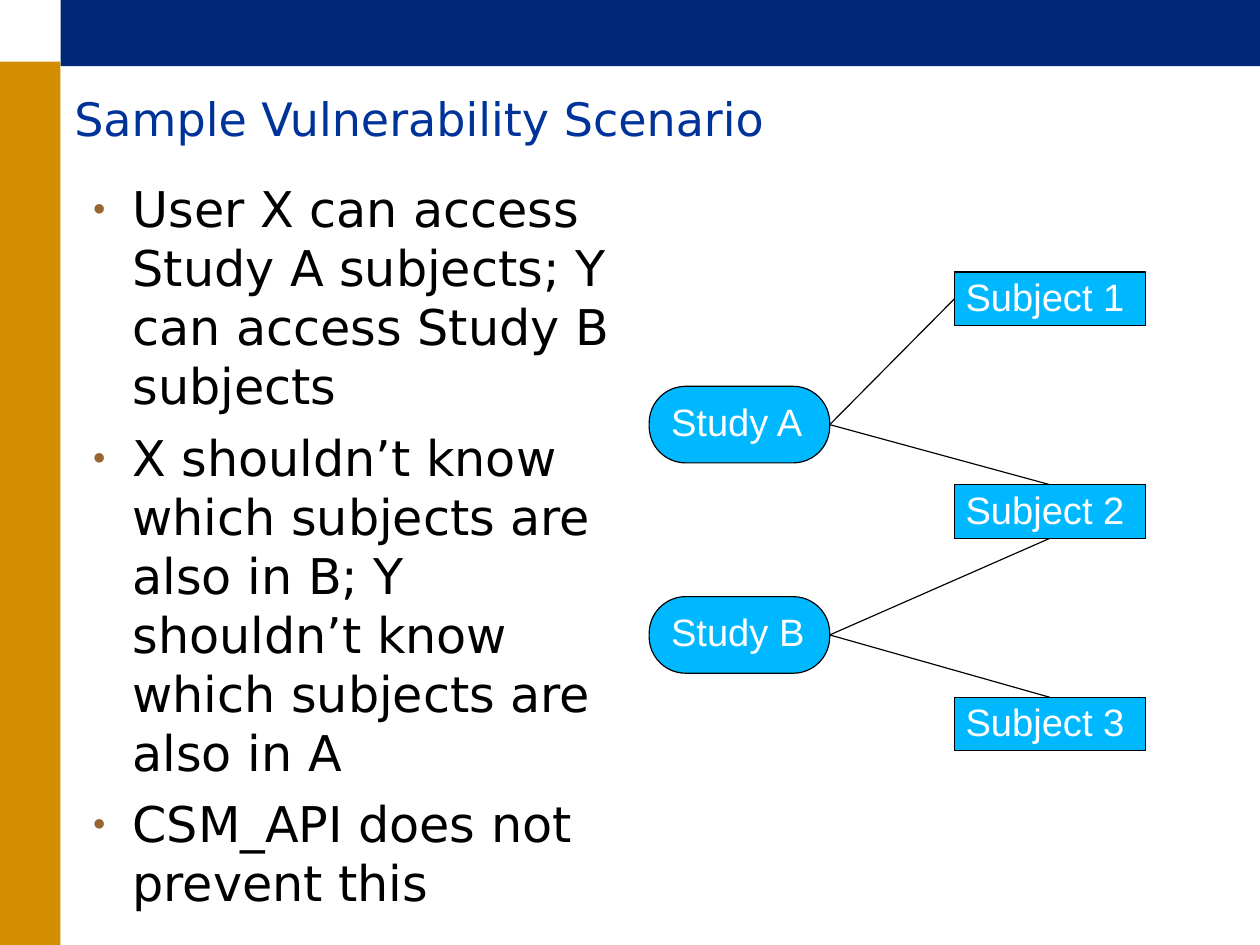
import pptx
import pptx.util
import pptx.dml.color
import pptx.enum.shapes
import pptx.enum.text
import pptx.oxml.ns
import lxml.etree

Inches = pptx.util.Inches
Pt = pptx.util.Pt
KINDS = pptx.enum.shapes.MSO_SHAPE
ANCHOR = pptx.enum.text.MSO_ANCHOR
ALIGN = pptx.enum.text.PP_ALIGN
TOP, LEFT, BOTTOM, RIGHT = range(4)

POINTS = [
    "User X can access Study A subjects; Y can access Study B subjects",
    "X shouldn’t know which subjects are also in B; Y shouldn’t know which subjects are also in A",
    "CSM_API does not prevent this",
]


def color(code):
    return pptx.dml.color.RGBColor.from_string(code)


def add(parent, tag, **attrs):
    return lxml.etree.SubElement(parent, pptx.oxml.ns.qn(tag), attrs)


def style(para, font, size, code):
    for run in para.runs:
        run.font.name = font
        run.font.size = Pt(size)
        run.font.color.rgb = color(code)


def inset(frame, left, top, right, bottom):
    frame.word_wrap = True
    frame.margin_left, frame.margin_top = Inches(left), Inches(top)
    frame.margin_right, frame.margin_bottom = Inches(right), Inches(bottom)


def block(slide, kind, box, fill):
    shape = slide.shapes.add_shape(kind, *map(Inches, box))
    shape.shadow.inherit = False
    shape.fill.solid()
    shape.fill.fore_color.rgb = color(fill)
    shape.line.fill.background()
    return shape


def node(slide, kind, box, label):
    shape = block(slide, kind, box, "00B8FF")
    shape.line.color.rgb = color("000000")
    shape.line.width = Pt(0.75)
    frame = shape.text_frame
    inset(frame, 0.1, 0.05, 0.1, 0.05)
    frame.vertical_anchor = ANCHOR.TOP
    frame.text = label
    para = frame.paragraphs[0]
    para.alignment = ALIGN.LEFT
    para.line_spacing = 0.93
    style(para, "Arial", 24, "FFFFFF")
    return shape


def link(slide, start, end, side):
    line = slide.shapes.add_connector(pptx.enum.shapes.MSO_CONNECTOR.STRAIGHT, 0, 0, 0, 0)
    line.begin_connect(start, RIGHT)
    line.end_connect(end, side)
    line.line.color.rgb = color("000000")
    line.line.width = Pt(0.75)
    add(line._element.spPr, "a:effectLst")


def frame_bars(slide, width, height):
    side = 0.53
    block(slide, KINDS.RECTANGLE, (side, 0, width - side, 0.58), "002878")
    block(slide, KINDS.RECTANGLE, (0, 0.54, side, height - 0.54), "D28E00")


def title(slide, box, text):
    frame = slide.shapes.add_textbox(*map(Inches, box)).text_frame
    inset(frame, 0, 0, 0.11, 0.06)
    frame.vertical_anchor = ANCHOR.MIDDLE
    frame.text = text
    para = frame.paragraphs[0]
    para.line_spacing = 0.95
    style(para, "DejaVu Sans", 29, "003399")


def bullets(slide, box, points):
    frame = slide.shapes.add_textbox(*map(Inches, box)).text_frame
    inset(frame, 0, 0, 0.11, 0.06)
    frame.text = "\n".join(points)
    for para in frame.paragraphs:
        para.space_before = Pt(7.7)
        style(para, "DejaVu Sans", 31, "000000")
        props = para._p.get_or_add_pPr()
        props.set("marL", str(Inches(0.47)))
        props.set("indent", str(Inches(-0.35)))
        add(add(props, "a:buClr"), "a:srgbClr", val="996633")
        add(props, "a:buSzPct", val="45000")
        add(props, "a:buFont", typeface="Arial")
        add(props, "a:buChar", char="●")


def diagram(slide, box):
    left, top, width, height = box
    wide, tall = 1.67, 0.47
    step = (height - tall) / 2
    study_a, study_b = [
        node(slide, KINDS.ROUNDED_RECTANGLE, (left, top + 1 + 1.84 * row, 1.58, 0.67), f"Study {name}")
        for row, name in enumerate("AB")
    ]
    for study in (study_a, study_b):
        study.adjustments[0] = 0.477
    first, second, third = [
        node(slide, KINDS.RECTANGLE, (left + width - wide, top + step * row, wide, tall), f"Subject {row + 1}")
        for row in range(3)
    ]
    link(slide, study_a, first, LEFT)
    link(slide, study_a, second, TOP)
    link(slide, study_b, second, BOTTOM)
    link(slide, study_b, third, TOP)


def main():
    width, height = 793.75 / 72, 595.25 / 72
    deck = pptx.Presentation()
    deck.slide_width, deck.slide_height = Inches(width), Inches(height)
    slide = deck.slides.add_slide(deck.slide_layouts[6])
    frame_bars(slide, width, height)
    title(slide, (0.65, 0.62, 10.31, 0.94), "Sample Vulnerability Scenario")
    bullets(slide, (0.69, 1.56, 5.03, 6.52), POINTS)
    diagram(slide, (5.68, 2.38, 4.34, 4.19))
    deck.save("out.pptx")


if __name__ == "__main__":
    main()
